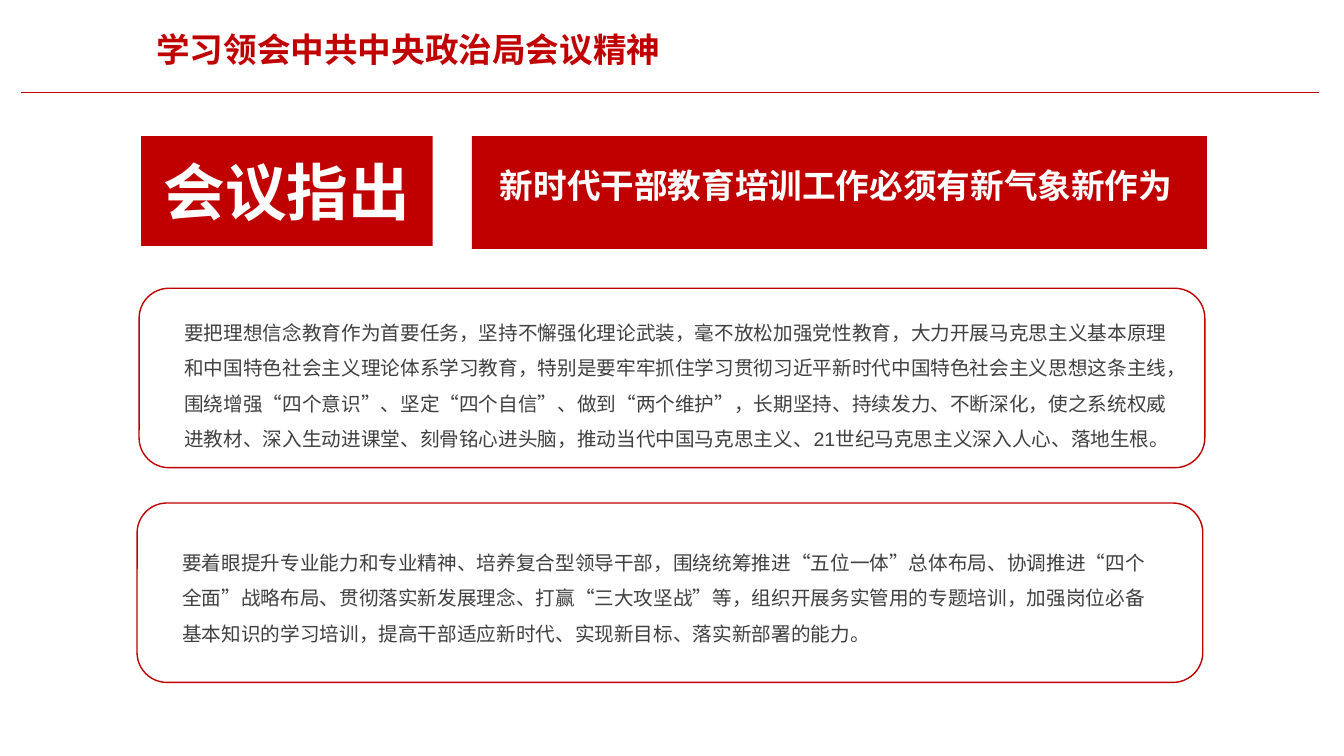
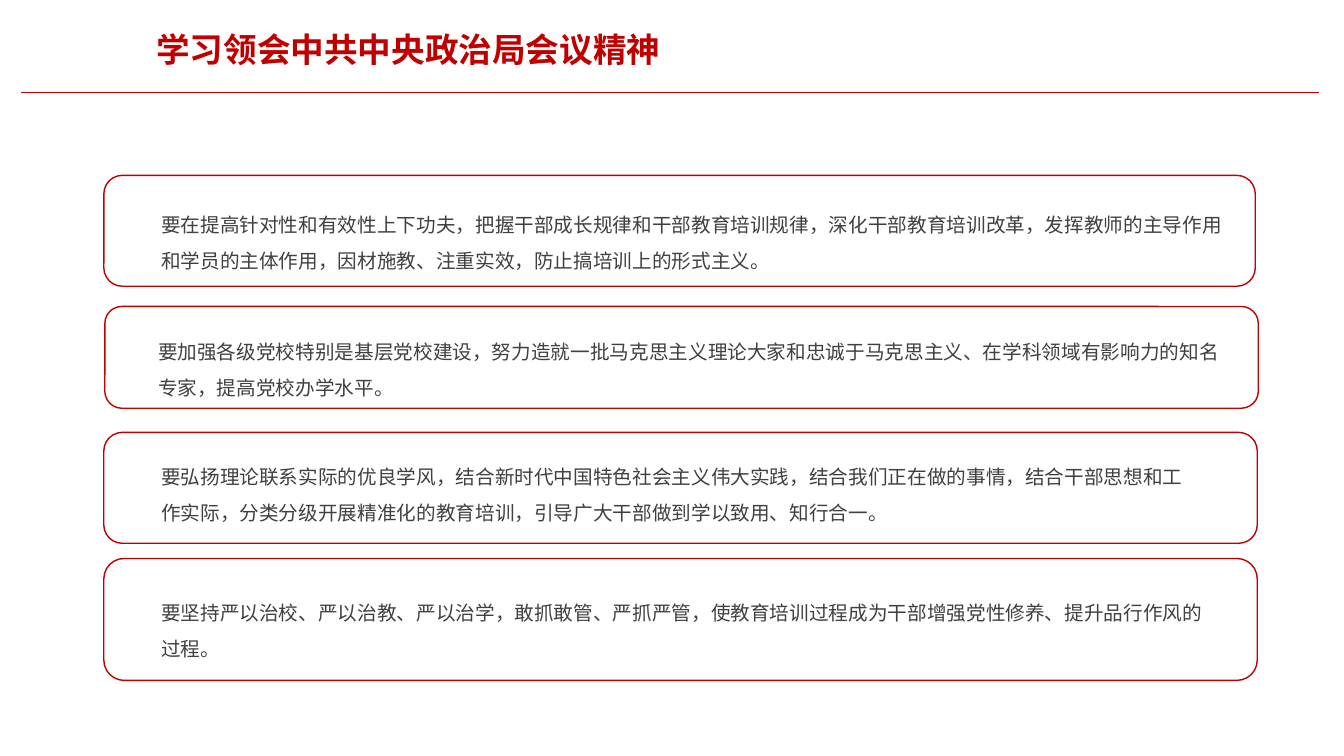
from lxml import etree
from pptx import Presentation
from pptx.dml.color import RGBColor
from pptx.enum.lang import MSO_LANGUAGE_ID
from pptx.enum.shapes import MSO_CONNECTOR, MSO_SHAPE
from pptx.enum.text import MSO_ANCHOR, MSO_AUTO_SIZE, PP_ALIGN
from pptx.oxml.ns import qn
from pptx.util import Inches, Pt

RECT, ROUND = MSO_SHAPE.RECTANGLE, MSO_SHAPE.ROUNDED_RECTANGLE
STRAIGHT = MSO_CONNECTOR.STRAIGHT
LEFT, CENTER, RIGHT = PP_ALIGN.LEFT, PP_ALIGN.CENTER, PP_ALIGN.RIGHT
TOP, MIDDLE = MSO_ANCHOR.TOP, MSO_ANCHOR.MIDDLE
GROW = MSO_AUTO_SIZE.SHAPE_TO_FIT_TEXT
CHINESE = MSO_LANGUAGE_ID.SIMPLIFIED_CHINESE

RED, WHITE, GRAY = "C00000", "FFFFFF", "404040"
FONT = "Arial"
TITLE = "学习领会中共中央政治局会议精神"


def write(shape, text, size=24, color=WHITE, bold=True, align=LEFT,
          anchor=TOP, wrap=False, spacing=1.0):
    frame = shape.text_frame
    frame.word_wrap = wrap
    frame.vertical_anchor = anchor
    para = frame.paragraphs[0]
    para.alignment = align
    para.line_spacing = spacing
    run = para.add_run()
    run.text = text
    font = run.font
    font.name, font.size, font.bold = FONT, Pt(size), bold
    font.color.rgb = RGBColor.from_string(color)
    font.language_id = CHINESE


def box(slide, kind, area, fill=None, line=None):
    shape = slide.shapes.add_shape(kind, *map(Inches, area))
    shape.shadow.inherit = False
    if fill:
        shape.fill.solid()
        shape.fill.fore_color.rgb = RGBColor.from_string(fill)
    else:
        shape.fill.background()
    if line:
        shape.line.color.rgb = RGBColor.from_string(line)
        shape.line.width = Pt(1)
    else:
        shape.line.fill.background()
    return shape


# Each card: outline area, text area, text
FIRST = [
    ((1.38, 2.86, 10.57, 1.78), (1.73, 3.02, 10.05, 1.47),
     "要把理想信念教育作为首要任务，坚持不懈强化理论武装，毫不放松加强党性教育，"
     "大力开展马克思主义基本原理和中国特色社会主义理论体系学习教育，"
     "特别是要牢牢抓住学习贯彻习近平新时代中国特色社会主义思想这条主线，"
     "围绕增强“四个意识”、坚定“四个自信”、做到“两个维护”，"
     "长期坚持、持续发力、不断深化，使之系统权威进教材、深入生动进课堂、"
     "刻骨铭心进头脑，推动当代中国马克思主义、21世纪马克思主义深入人心、落地生根。"),
    ((1.36, 4.99, 10.57, 1.78), (1.71, 5.3, 9.94, 1.12),
     "要着眼提升专业能力和专业精神、培养复合型领导干部，"
     "围绕统筹推进“五位一体”总体布局、协调推进“四个全面”战略布局、"
     "贯彻落实新发展理念、打赢“三大攻坚战”等，组织开展务实管用的专题培训，"
     "加强岗位必备基本知识的学习培训，"
     "提高干部适应新时代、实现新目标、落实新部署的能力。"),
]
SECOND = [
    ((1.03, 1.74, 11.42, 1.1), (1.5, 1.95, 10.74, 0.68),
     "要在提高针对性和有效性上下功夫，把握干部成长规律和干部教育培训规律，"
     "深化干部教育培训改革，发挥教师的主导作用和学员的主体作用，"
     "因材施教、注重实效，防止搞培训上的形式主义。"),
    ((1.04, 3.04, 11.44, 1.01), (1.47, 3.21, 10.76, 0.68),
     "要加强各级党校特别是基层党校建设，努力造就一批马克思主义理论大家和"
     "忠诚于马克思主义、在学科领域有影响力的知名专家，提高党校办学水平。"),
    ((1.03, 4.29, 11.44, 1.1), (1.5, 4.45, 10.44, 0.68),
     "要弘扬理论联系实际的优良学风，结合新时代中国特色社会主义伟大实践，"
     "结合我们正在做的事情，结合干部思想和工作实际，"
     "分类分级开展精准化的教育培训，引导广大干部做到学以致用、知行合一。"),
    ((1.03, 5.54, 11.44, 1.21), (1.5, 5.8, 10.6, 0.68),
     "要坚持严以治校、严以治教、严以治学，敢抓敢管、严抓严管，"
     "使教育培训过程成为干部增强党性修养、提升品行作风的过程。"),
]

deck = Presentation()
deck.slide_width, deck.slide_height = Inches(13.33), Inches(7.5)
layout = deck.slide_layouts[5]
head = layout.placeholders[0]
head.left, head.top = Inches(1.4), Inches(0.24)
head.width, head.height = Inches(5.25), Inches(0.5)

for cards in (FIRST, SECOND):
    slide = deck.slides.add_slide(layout)
    write(slide.shapes.title, TITLE, color=RED, align=RIGHT, anchor=MIDDLE)
    rule = slide.shapes.add_connector(
        STRAIGHT, Inches(0.21), Inches(0.92), Inches(13.08), Inches(0.92))
    rule.line.color.rgb = RGBColor.from_string(RED)
    rule.line.width = Pt(0.5)
    etree.SubElement(rule.element.spPr, qn("a:effectLst"))

    for outline, area, text in cards:
        box(slide, ROUND, outline, line=RED)
        note = slide.shapes.add_textbox(*map(Inches, area))
        write(note, text, size=14, color=GRAY, bold=False, wrap=True, spacing=1.5)
        note.text_frame.auto_size = GROW

# Red banners on the first slide
slide = deck.slides[0]
label = box(slide, RECT, (1.4, 1.35, 2.89, 1.09), fill=RED)
write(label, "会议指出", size=44, align=CENTER, anchor=MIDDLE)
box(slide, RECT, (4.68, 1.35, 7.29, 1.12), fill=RED)
motto = slide.shapes.add_textbox(Inches(4.86), Inches(1.59), Inches(6.93), Inches(0.5))
write(motto, "新时代干部教育培训工作必须有新气象新作为")

deck.save("out.pptx")
